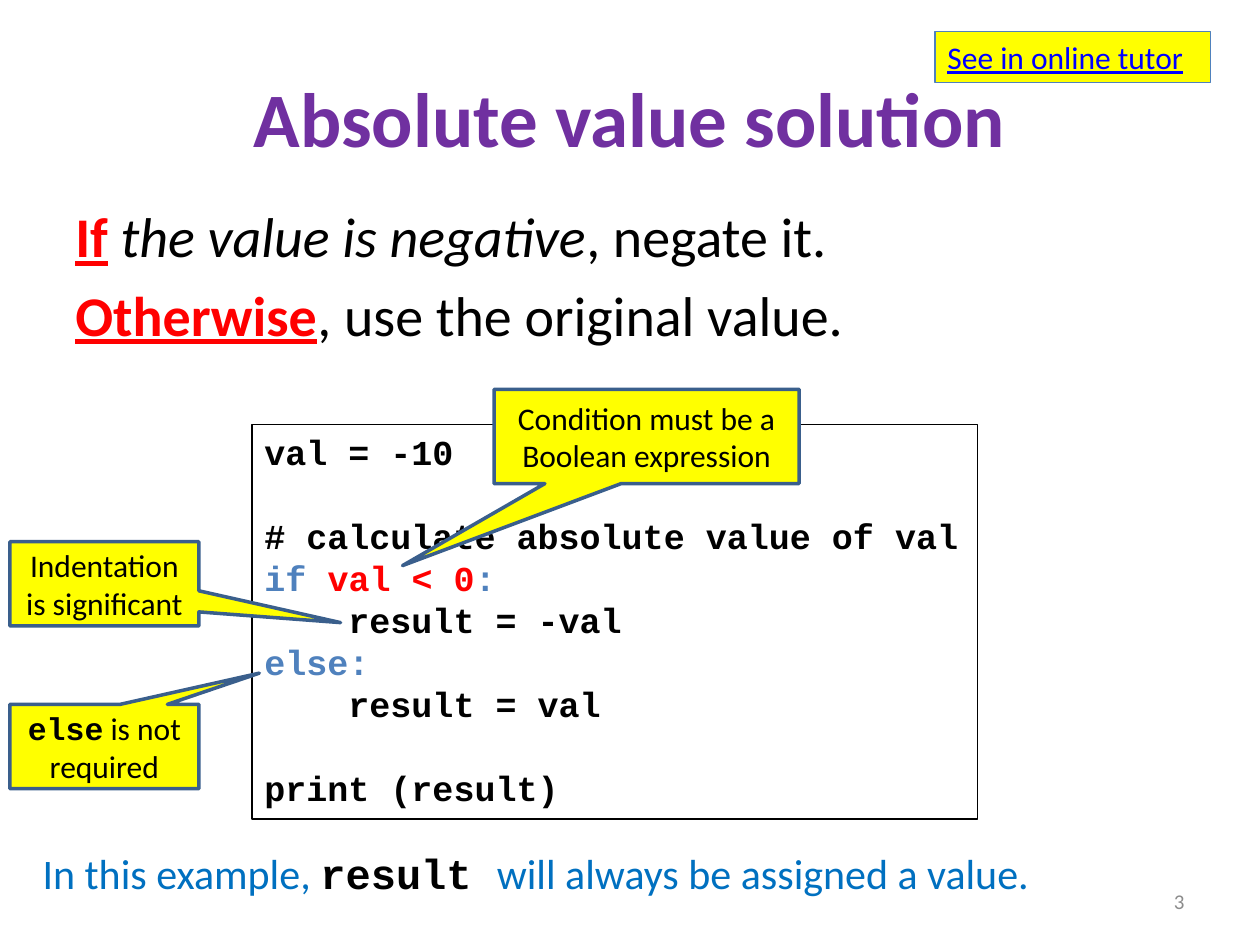
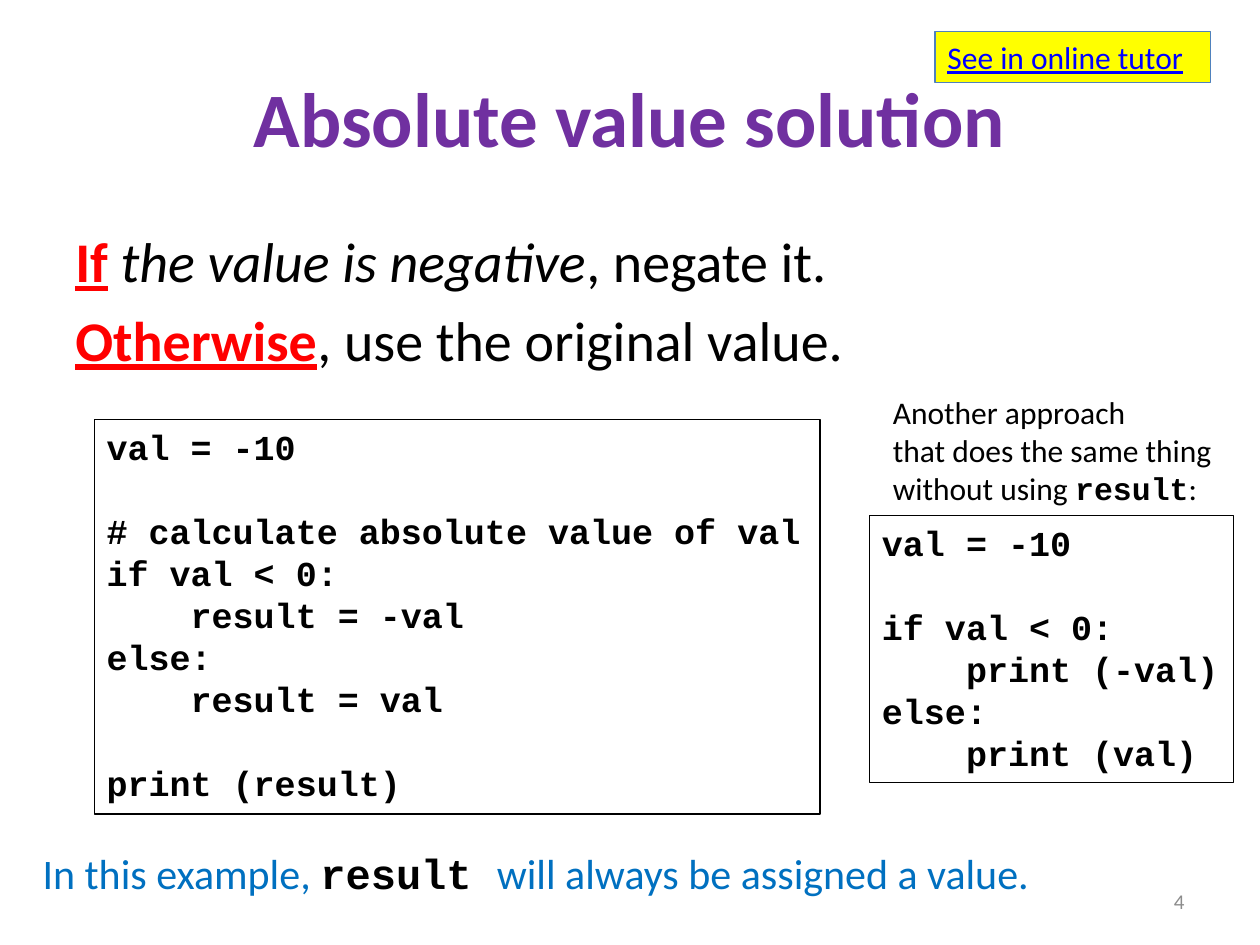
"""Build two slides on the absolute value solution."""
from dataclasses import dataclass, replace
from typing import Optional

import pptx
import pptx.dml.color
import pptx.enum.shapes
import pptx.enum.text
import pptx.slide
import pptx.util

Cm, Pt = pptx.util.Cm, pptx.util.Pt
RGBColor = pptx.dml.color.RGBColor
Align = pptx.enum.text.PP_ALIGN
Anchor = pptx.enum.text.MSO_ANCHOR
Kind = pptx.enum.shapes.MSO_SHAPE

BLACK = RGBColor(0x00, 0x00, 0x00)
PURPLE = RGBColor(0x70, 0x30, 0xA0)
RED = RGBColor(0xFF, 0x00, 0x00)
BLUE = RGBColor(0x4F, 0x81, 0xBD)
NAVY = RGBColor(0x3A, 0x5F, 0x8C)
SKY = RGBColor(0x00, 0x70, 0xC0)
LINK = RGBColor(0x00, 0x00, 0xFF)
GRAY = RGBColor(0x8C, 0x8C, 0x8C)
YELLOW = RGBColor(0xFF, 0xFF, 0x00)
SANS, MONO = "Calibri", "Courier New"


@dataclass(frozen=True)
class Bit:
    """A run of text with its look."""
    text: str
    color: RGBColor = BLACK
    bold: bool = False
    slant: bool = False
    under: bool = False
    font: str = SANS


@dataclass(frozen=True)
class Box:
    """A place in centimetres with its text style and frame."""
    left: float
    top: float
    width: float
    height: float
    size: float
    wrap: bool = False
    align: Align = Align.LEFT
    anchor: Anchor = Anchor.TOP
    fill: Optional[RGBColor] = None
    line: Optional[RGBColor] = None
    weight: float = 0.75
    gap: float = 0


@dataclass(frozen=True)
class Callout:
    """A yellow callout with the offset of its tip."""
    box: Box
    tip: tuple[float, float]
    bits: list[Bit]


Line = list[Bit]


def mono(text: str, color: RGBColor = BLACK) -> Bit:
    """Return a bold run in the code font."""
    return Bit(text, color, bold=True, font=MONO)


def key(text: str) -> Bit:
    """Return a red key word."""
    return Bit(text, RED, bold=True, under=True)


TITLE = Box(1.27, 0.76, 22.86, 3.18, 44, True, Align.CENTER, Anchor.MIDDLE)
BODY = Box(1.27, 3.94, 22.86, 13.08, 32, True, gap=6.4)
CODE = Box(5.08, 8.56, 14.63, 7.95, 20, line=BLACK)
SHORT = Box(17.53, 10.39, 7.34, 5.38, 20, line=BLACK)
NOTE = Box(17.75, 7.8, 7.09, 2.57, 18)
FOOT = Box(0.61, 16.97, 20.57, 1.27, 24)
PAGE = Box(18.21, 17.65, 5.92, 1.02, 12, True, Align.RIGHT, Anchor.MIDDLE)
BADGE = Box(18.85, 0.64, 5.56, 1.02, 18, fill=YELLOW, line=BLUE)
TIP = Box(9.96, 7.85, 6.15, 1.9, 18, True, Align.CENTER, Anchor.MIDDLE,
          YELLOW, NAVY, 2)
SIDE = replace(TIP, left=0.2, top=10.92, width=3.81, height=1.7)

RULES = [
    [key("If"), Bit(" "), Bit("the value is negative", slant=True),
     Bit(", negate it.")],
    [key("Otherwise"), Bit(", use the original value.")],
]
CLOSING = [Bit("In this example, ", SKY), mono("result "),
           Bit("will always be assigned a value.", SKY)]
LONG_CODE = """val = -10

# calculate absolute value of val
if val < 0:
    result = -val
else:
    result = val

print (result)"""
SHORT_CODE = """val = -10

if val < 0:
    print (-val)
else:
    print (val)"""
TINTS = {
    "if val < 0:": [mono("if ", BLUE), mono("val < 0", RED), mono(":", BLUE)],
    "else:": [mono("else:", BLUE)],
}
REMARK = [[Bit("Another approach")], [Bit("that does the same thing")],
          [Bit("without using "), mono("result"), Bit(":")]]
CALLOUTS = [
    Callout(TIP, (-0.8, 1.37), [Bit("Condition must be a Boolean expression")]),
    Callout(SIDE, (1.25, 0.46), [Bit("Indentation is significant")]),
    Callout(replace(SIDE, top=14.2), (0.82, -0.87),
            [mono("else"), Bit(" is not required")]),
]


def write(frame, box: Box, lines: list[Line]) -> None:
    """Fill a text frame; an empty line widens the space before the next."""
    frame.word_wrap = box.wrap
    frame.vertical_anchor = box.anchor
    para, skip = None, 0.0
    for line in lines:
        if not line:
            skip += box.size * 1.2
            continue
        if para is None:
            para = frame.paragraphs[0]
        else:
            para = frame.add_paragraph()
            para.space_before = Pt(box.gap + skip)
        skip = 0.0
        para.alignment = box.align
        for bit in line:
            run = para.add_run()
            run.text = bit.text
            font = run.font
            font.name, font.size = bit.font, Pt(box.size)
            font.bold, font.italic = bit.bold, bit.slant
            font.underline = bit.under
            font.color.rgb = bit.color


def draw(slide: pptx.slide.Slide, box: Box, lines: list[Line],
         tip: Optional[tuple[float, float]] = None) -> None:
    """Draw a text box, a framed box or a callout."""
    area = [Cm(n) for n in (box.left, box.top, box.width, box.height)]
    if box.line is None:
        shape = slide.shapes.add_textbox(*area)
    else:
        kind = Kind.RECTANGULAR_CALLOUT if tip else Kind.RECTANGLE
        shape = slide.shapes.add_shape(kind, *area)
        shape.shadow.inherit = False
        shape.line.color.rgb = box.line
        shape.line.width = Pt(box.weight)
        if box.fill is None:
            shape.fill.background()
        else:
            shape.fill.solid()
            shape.fill.fore_color.rgb = box.fill
        for place, value in enumerate(tip or ()):
            shape.adjustments[place] = value
    write(shape.text_frame, box, lines)


def listing(code: str, tints: dict[str, Line]) -> list[Line]:
    """Split code into lines of runs, with tints for some lines."""
    return [tints.get(row, [mono(row)]) if row else []
            for row in code.splitlines()]


def start(deck, page: int, body: Box, code: Box,
          tints: dict[str, Line]) -> pptx.slide.Slide:
    """Add a slide with all the parts that both share."""
    slide = deck.slides.add_slide(deck.slide_layouts[6])
    draw(slide, TITLE, [[Bit("Absolute value solution", PURPLE, bold=True)]])
    draw(slide, body, RULES)
    draw(slide, code, listing(LONG_CODE, tints))
    draw(slide, PAGE, [[Bit(str(page), GRAY)]])
    draw(slide, FOOT, [CLOSING])
    draw(slide, BADGE, [[Bit("See in online tutor", LINK, under=True)]])
    return slide


def main() -> None:
    """Build and save the deck."""
    deck = pptx.Presentation()
    deck.slide_width, deck.slide_height = Cm(25.4), Cm(19.05)

    slide = start(deck, 3, BODY, CODE, TINTS)
    for note in CALLOUTS:
        draw(slide, note.box, [note.bits], note.tip)

    lower = replace(BODY, top=4.45, height=12.57)
    slide = start(deck, 4, lower, replace(CODE, left=1.9, top=8.46), {})
    draw(slide, SHORT, listing(SHORT_CODE, {}))
    draw(slide, NOTE, REMARK)
    deck.save("out.pptx")


if __name__ == "__main__":
    main()
